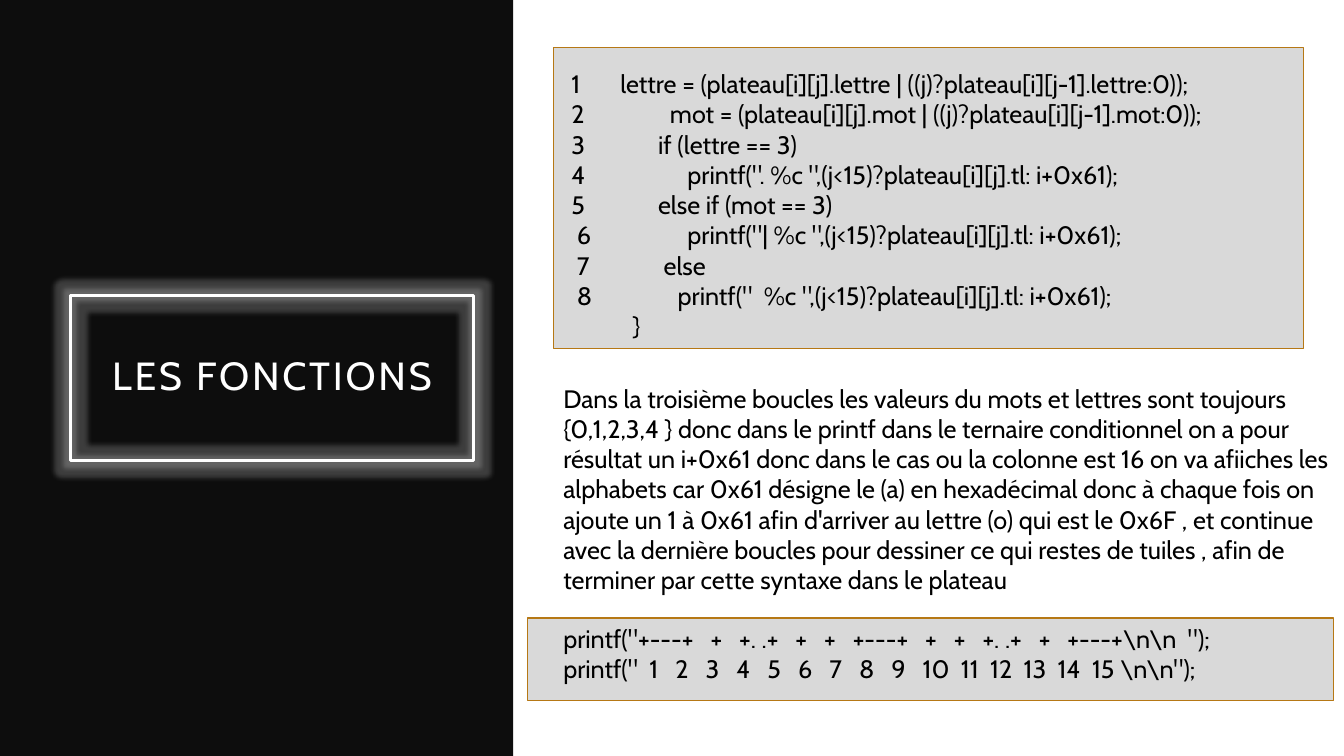
import pptx
import pptx.util
import pptx.dml.color
import pptx.enum.shapes
import pptx.enum.text
import pptx.oxml
import pptx.oxml.ns

Pt = pptx.util.Pt
ALIGN = pptx.enum.text.PP_ALIGN
ANCHOR = pptx.enum.text.MSO_ANCHOR

THEME = {
    "font": "Cabin", "title": 28, "body": 18,
    "dark": "0D0D0D", "white": "FFFFFF", "black": "000000",
    "gray": "D9D9D9", "gold": "B67815",
}

TITLE = "LES FONCTIONS"
# line number, its offset, offset of the code, code
CODE = [
    ("1", 0, 35, "lettre = (plateau[i][j].lettre | ((j)?plateau[i][j-1].lettre:0));"),
    ("2", 0, 70.5, "mot = (plateau[i][j].mot | ((j)?plateau[i][j-1].mot:0));"),
    ("3", 0, 62, "if (lettre == 3)"),
    ("4", 0, 83, 'printf(". %c ",(j<15)?plateau[i][j].tl: i+0x61);'),
    ("5", 0, 62, "else if (mot == 3)"),
    ("6", 4, 83, 'printf("| %c ",(j<15)?plateau[i][j].tl: i+0x61);'),
    ("7", 4, 66, "else"),
    ("8", 4, 76, 'printf("  %c ",(j<15)?plateau[i][j].tl: i+0x61);'),
    ("", 44, 44, "}"),
]
NOTE = (
    "Dans la troisième boucles les valeurs du mots et lettres sont toujours "
    "{0,1,2,3,4 } donc dans le printf dans le ternaire conditionnel on a pour "
    "résultat un i+0x61 donc dans le cas ou la colonne est 16 on va afiiches les "
    "alphabets car 0x61 désigne le (a) en hexadécimal donc à chaque fois on "
    "ajoute un 1 à 0x61 afin d'arriver au lettre (o) qui est le 0x6F , et continue "
    "avec la dernière boucles pour dessiner ce qui restes de tuiles , afin de "
    "terminer par cette syntaxe dans le plateau"
)
PRINTS = [
    r'printf("+---+   +   +. .+   +   +   +---+   +   +   +. .+   +   +---+\n\n  ");',
    r'printf("  1   2   3   4   5   6   7   8   9   10  11  12  13  14  15 \n\n");',
]

# left, top, width, height
PANEL = (0, 0, 366.5, 540)
FRAME = (50.4, 211, 288, 118)
CODE_BOX = (395.3, 33.8, 535.7, 215.3)
CODE_TEXT = (401, 45.4, 559, 203.8)
NOTE_TEXT = (395.3, 270, 564.5, 159.8)
PRINT_BOX = (376.6, 441.4, 576, 59)
PRINT_TEXT = (395.3, 441.4, 557.3, 72.7)


def tint(name):
    return pptx.dml.color.RGBColor.from_string(THEME[name])


def rect(slide, area, fill=None, line=None, width=1):
    box = slide.shapes.add_shape(
        pptx.enum.shapes.MSO_SHAPE.RECTANGLE, *map(Pt, area))
    box.shadow.inherit = False
    if fill:
        box.fill.solid()
        box.fill.fore_color.rgb = tint(fill)
    else:
        box.fill.background()
    if line:
        box.line.color.rgb = tint(line)
        box.line.width = Pt(width)
    else:
        box.line.fill.background()
    return box


def write(slide, area, lines, size="body", color="black", align=ALIGN.LEFT,
          anchor=ANCHOR.TOP, track=0, space=None, indents=()):
    """Add a text box; indents holds (first line, left margin) per line."""
    frame = slide.shapes.add_textbox(*map(Pt, area)).text_frame
    frame.word_wrap = True
    frame.vertical_anchor = anchor
    for i, line in enumerate(lines):
        para = frame.paragraphs[0] if i == 0 else frame.add_paragraph()
        para.alignment = align
        para.line_spacing = space
        if indents:
            first, left = indents[i]
            props = para._p.get_or_add_pPr()
            props.set("marL", str(Pt(left)))
            props.set("indent", str(Pt(first - left)))
        run = para.add_run()
        run.text = line
        run.font.name = THEME["font"]
        run.font.size = Pt(THEME[size])
        run.font.color.rgb = tint(color)
        if track:
            run._r.get_or_add_rPr().set("spc", str(track * 100))


def glow(shape, color, radius, alpha):
    effects = shape._element.spPr.find(pptx.oxml.ns.qn("a:effectLst"))
    effects.append(pptx.oxml.parse_xml(
        f'<a:glow {pptx.oxml.ns.nsdecls("a")} rad="{Pt(radius)}">'
        f'<a:srgbClr val="{THEME[color]}"><a:alpha val="{alpha * 1000}"/>'
        '</a:srgbClr></a:glow>'))


def main():
    deck = pptx.Presentation()
    deck.slide_width, deck.slide_height = Pt(960), Pt(540)
    slide = deck.slides.add_slide(deck.slide_layouts[6])

    rect(slide, PANEL, fill="dark")
    glow(rect(slide, FRAME, line="white", width=2.5), "white", 7, 20)
    write(slide, FRAME, [TITLE], size="title", color="white",
          align=ALIGN.CENTER, anchor=ANCHOR.MIDDLE, track=2, space=0.9)

    rect(slide, CODE_BOX, fill="gray", line="gold")
    write(slide, CODE_TEXT,
          [f"{num}\t{code}" if num else code for num, _, _, code in CODE],
          indents=[(first, left) for _, first, left, _ in CODE])

    write(slide, NOTE_TEXT, [NOTE])
    rect(slide, PRINT_BOX, fill="gray", line="gold")
    write(slide, PRINT_TEXT, PRINTS)
    deck.save("out.pptx")


if __name__ == "__main__":
    main()
